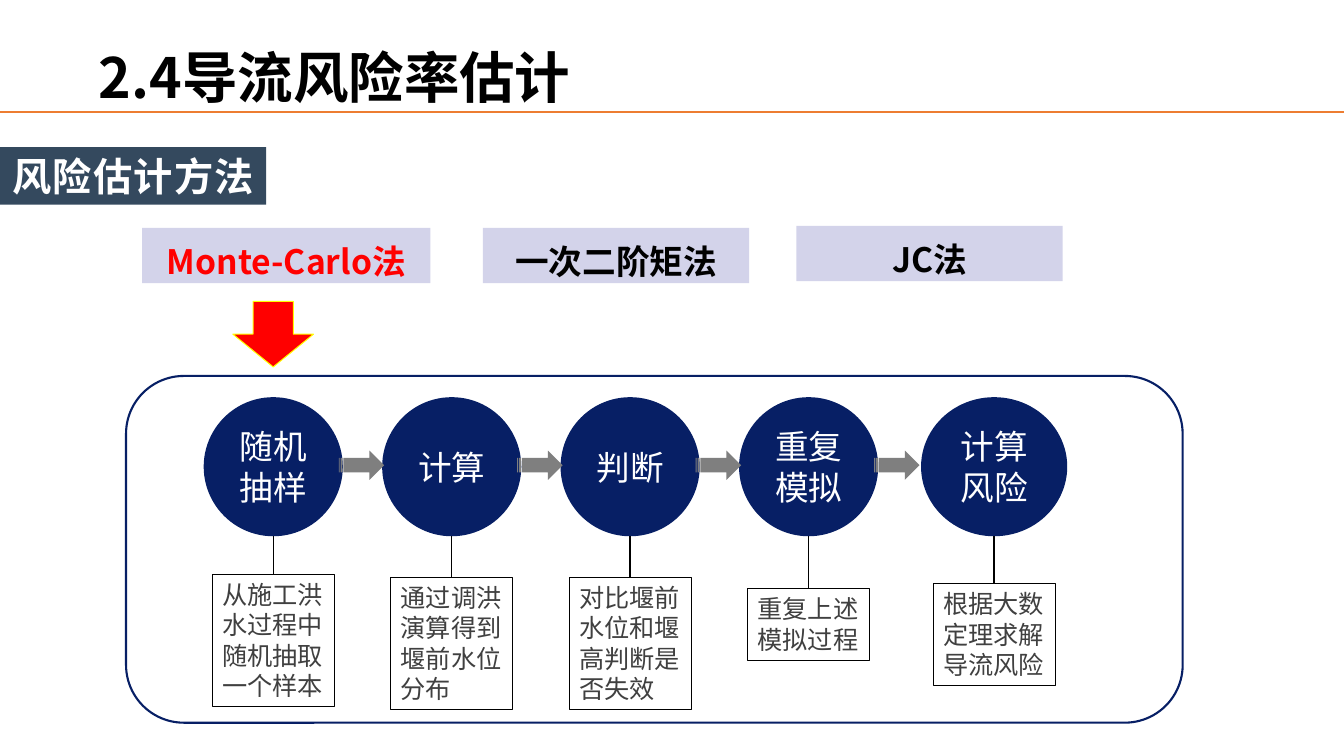
from lxml.etree import SubElement
from pptx import Presentation
from pptx.dml.color import RGBColor
from pptx.enum.shapes import MSO_CONNECTOR, MSO_SHAPE
from pptx.enum.text import MSO_ANCHOR, MSO_AUTO_SIZE, PP_ALIGN
from pptx.oxml.ns import qn
from pptx.util import Inches, Pt

FONT = "Noto Sans CJK SC"
BLACK = RGBColor(0x00, 0x00, 0x00)
WHITE = RGBColor(0xFF, 0xFF, 0xFF)
RED = RGBColor(0xFF, 0x00, 0x00)
YELLOW = RGBColor(0xFF, 0xFF, 0x00)
ORANGE = RGBColor(0xED, 0x7D, 0x31)
SLATE = RGBColor(0x34, 0x49, 0x5E)
INDIGO = RGBColor(0x26, 0x26, 0x99)
NAVY = RGBColor(0x07, 0x1F, 0x65)
GRAY = RGBColor(0x7F, 0x7F, 0x7F)
DARK_GRAY = RGBColor(0x40, 0x40, 0x40)

# text, left, top, width, colour
METHODS = [
    ("Monte-Carlo法", 1.41, 2.26, 2.86, RED),
    ("一次二阶矩法", 4.79, 2.26, 2.64, BLACK),
    ("JC法", 7.9, 2.24, 2.64, BLACK),
]
FIRST_CENTER, STEP_PITCH = 2.71, 1.77
CIRCLE_TOP, CIRCLE_SIZE, LAST_CIRCLE_WIDTH = 3.94, 1.38, 1.45
LAST_CENTER = 9.86
DETAIL_WIDTH = 1.21
# name, detail, detail top, detail height
STEPS = [
    ("随机抽样", "从施工洪水过程中随机抽取一个样本", 5.7, 1.31),
    ("计算", "通过调洪演算得到堰前水位分布", 5.73, 1.31),
    ("判断", "对比堰前水位和堰高判断是否失效", 5.73, 1.31),
    ("重复模拟", "重复上述模拟过程", 5.84, 0.71),
    ("计算风险", "根据大数定理求解导流风险", 5.79, 1.01),
]


def write_text(shape, text, frame_format, paragraph_format, **font_format):
    frame = shape.text_frame
    frame.text = text
    paragraph = frame.paragraphs[0]
    run = paragraph.runs[0]
    color = font_format.pop("color")
    formats = [
        (frame, {"word_wrap": True, **frame_format}),
        (paragraph, paragraph_format),
        (run.font, {"name": FONT, **font_format}),
    ]
    for target, values in formats:
        for name, value in values.items():
            setattr(target, name, value)
    run.font.color.rgb = color
    SubElement(run.font._element, qn("a:ea"), typeface=FONT)
    return run


def add_block(slide, kind, left, top, width, height, fill=None, line=None, line_width=0.75):
    shape = slide.shapes.add_shape(
        kind, Inches(left), Inches(top), Inches(width), Inches(height))
    shape.shadow.inherit = False
    if fill is None:
        shape.fill.background()
    else:
        shape.fill.solid()
        shape.fill.fore_color.rgb = fill
    if line is None:
        shape.line.fill.background()
    else:
        shape.line.color.rgb = line
        shape.line.width = Pt(line_width)
    return shape


def add_line(slide, start, end, color):
    connector = slide.shapes.add_connector(
        MSO_CONNECTOR.STRAIGHT, *(Inches(value) for value in (*start, *end)))
    connector.line.color.rgb = color
    connector.line.width = Pt(1)
    SubElement(connector._element.spPr, qn("a:effectLst"))
    return connector


def add_title(slide):
    title = slide.shapes.title
    box = {"left": 0.88, "top": 0.43, "width": 9.81, "height": 0.73}
    for name, value in box.items():
        setattr(title, name, Inches(value))
    write_text(title, "2.4导流风险率估计",
               {"vertical_anchor": MSO_ANCHOR.MIDDLE, "auto_size": MSO_AUTO_SIZE.NONE},
               {"alignment": PP_ALIGN.LEFT, "line_spacing": 0.9},
               size=Pt(39.6), bold=True, color=BLACK)
    add_line(slide, (0, 1.11), (13.33, 1.11), ORANGE)


def add_section_label(slide):
    label = add_block(slide, MSO_SHAPE.RECTANGLE, 0, 1.46, 2.64, 0.57, SLATE)
    run = write_text(label, "风险估计方法",
                     {"word_wrap": False, "vertical_anchor": MSO_ANCHOR.TOP,
                      "auto_size": MSO_AUTO_SIZE.SHAPE_TO_FIT_TEXT},
                     {"alignment": PP_ALIGN.CENTER}, size=Pt(28), bold=True, color=WHITE)
    run.font._element.set("spc", "100")


def add_method(slide, text, left, top, width, color):
    method = add_block(slide, MSO_SHAPE.RECTANGLE, left, top, width, 0.55, INDIGO)
    fill_color = method._element.spPr.find(qn("a:solidFill"))[0]
    SubElement(fill_color, qn("a:alpha"), val="20000")
    write_text(method, text,
               {"vertical_anchor": MSO_ANCHOR.TOP,
                "auto_size": MSO_AUTO_SIZE.SHAPE_TO_FIT_TEXT},
               {"alignment": PP_ALIGN.CENTER, "line_spacing": 1.2},
               size=Pt(24), bold=True, color=color)


def add_step(slide, center, circle_width, name, detail, detail_top, detail_height):
    """Add a circle and the detail box that hangs below it."""
    circle = add_block(slide, MSO_SHAPE.OVAL, center - circle_width / 2, CIRCLE_TOP,
                       circle_width, CIRCLE_SIZE, NAVY)
    write_text(circle, name, {"vertical_anchor": MSO_ANCHOR.MIDDLE},
               {"alignment": PP_ALIGN.CENTER}, size=Pt(24), color=WHITE)
    box = add_block(slide, MSO_SHAPE.RECTANGLE, center - DETAIL_WIDTH / 2, detail_top,
                    DETAIL_WIDTH, detail_height, line=BLACK)
    write_text(box, detail,
               {"vertical_anchor": MSO_ANCHOR.TOP,
                "auto_size": MSO_AUTO_SIZE.SHAPE_TO_FIT_TEXT},
               {"alignment": PP_ALIGN.LEFT}, size=Pt(18), color=DARK_GRAY)
    stem = add_line(slide, (center, CIRCLE_TOP + CIRCLE_SIZE), (center, detail_top), BLACK)
    stem.end_connect(box, 0)


def add_process(slide):
    add_block(slide, MSO_SHAPE.ROUNDED_RECTANGLE, 1.25, 3.73, 10.48, 3.44,
              line=NAVY, line_width=1.5)
    last = len(STEPS) - 1
    for index, step in enumerate(STEPS):
        if index == last:
            add_step(slide, LAST_CENTER, LAST_CIRCLE_WIDTH, *step)
        else:
            add_step(slide, FIRST_CENTER + index * STEP_PITCH, CIRCLE_SIZE, *step)
    for index in range(last):
        add_block(slide, MSO_SHAPE.STRIPED_RIGHT_ARROW, 3.36 + index * STEP_PITCH, 4.47,
                  0.45, 0.29, GRAY)


def main():
    presentation = Presentation()
    presentation.slide_width = Inches(13.33)
    presentation.slide_height = Inches(7.5)
    slide = presentation.slides.add_slide(presentation.slide_layouts[5])
    add_title(slide)
    add_section_label(slide)
    for method in METHODS:
        add_method(slide, *method)
    add_block(slide, MSO_SHAPE.DOWN_ARROW, 2.31, 2.99, 0.8, 0.65, RED, YELLOW)
    add_process(slide)
    presentation.save("out.pptx")


if __name__ == "__main__":
    main()
